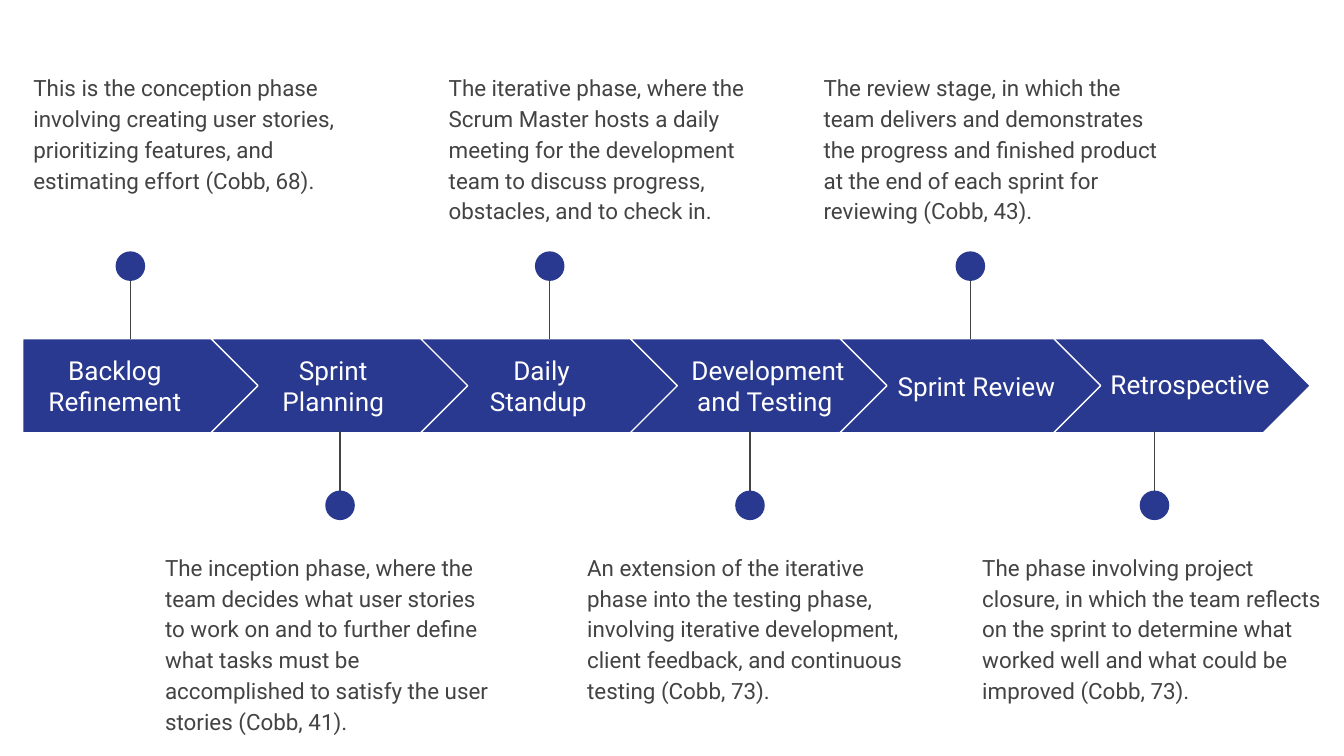
from lxml import etree
from pptx import Presentation
from pptx.dml.color import RGBColor
from pptx.enum.shapes import MSO_CONNECTOR, MSO_SHAPE
from pptx.enum.text import MSO_ANCHOR, PP_ALIGN
from pptx.oxml.ns import qn
from pptx.util import Inches, Pt

PENTAGON, CHEVRON, OVAL = MSO_SHAPE.PENTAGON, MSO_SHAPE.CHEVRON, MSO_SHAPE.OVAL
STRAIGHT = MSO_CONNECTOR.STRAIGHT
LEFT, CENTER = PP_ALIGN.LEFT, PP_ALIGN.CENTER
TOP, MIDDLE = MSO_ANCHOR.TOP, MSO_ANCHOR.MIDDLE

NAVY, WHITE, GRAY = "2A3990", "FFFFFF", "434343"
FONT = "Roboto"
SLIDE_WIDTH = 10
SLIDE_HEIGHT = SLIDE_WIDTH * 9 / 16
BAND_TOP, BAND_HEIGHT = 2.52, 0.7
CHEVRON_STEP, CHEVRON_WIDTH = 1.56, 1.94
DOT = 0.22

# Position in the band, label, (label left, top, width), pin centre,
# (note left, width, height), note. Sprint Review lies over Retrospective.
STAGES = [
    (0, "Backlog Refinement", (0.17, 2.65, 1.37), 0.97, (0.15, 2.45, 0.99),
     "This is the conception phase involving creating user stories, "
     "prioritizing features, and estimating effort (Cobb, 68)."),
    (1, "Sprint Planning", (1.86, 2.65, 1.24), 2.53, (1.13, 2.68, 1.52),
     "The inception phase, where the team decides what user stories to work on "
     "and to further define what tasks must be accomplished to satisfy the user "
     "stories (Cobb, 41)."),
    (2, "Daily Standup ", (3.41, 2.65, 1.24), 4.09, (3.24, 2.45, 1.32),
     "The iterative phase, where the Scrum Master hosts a daily meeting for the "
     "development team to discuss progress, obstacles, and to check in."),
    (3, "Development and Testing ", (4.96, 2.65, 1.51), 5.58, (4.27, 2.62, 1.32),
     "An extension of the iterative phase into the testing phase, involving "
     "iterative development, client feedback, and continuous testing (Cobb, 73)."),
    (5, "Retrospective", (8.13, 2.64, 1.45), 8.59, (7.21, 2.79, 1.32),
     "The phase involving project closure, in which the team reflects on the "
     "sprint to determine what worked well and what could be improved (Cobb, 73)."),
    (4, "Sprint Review", (6.51, 2.65, 1.51), 7.22, (6.03, 2.7, 1.32),
     "The review stage, in which the team delivers and demonstrates the progress "
     "and finished product at the end of each sprint for reviewing (Cobb, 43)."),
]


def rgb(color):
    return RGBColor.from_string(color)


def add_text(slide, text, left, top, width, height, *, size, color,
             align=LEFT, anchor=TOP, line_spacing=None, space_after=0):
    box = slide.shapes.add_textbox(
        Inches(left), Inches(top), Inches(width), Inches(height))
    frame = box.text_frame
    frame.word_wrap = True
    frame.vertical_anchor = anchor
    frame.margin_left = frame.margin_right = Inches(0.1)
    frame.margin_top = frame.margin_bottom = Inches(0.1)
    paragraph = frame.paragraphs[0]
    paragraph.alignment = align
    paragraph.line_spacing = line_spacing
    paragraph.space_after = Pt(space_after)
    run = paragraph.add_run()
    run.text = text
    run.font.name = FONT
    run.font.size = Pt(size)
    run.font.color.rgb = rgb(color)


def add_filled(shapes, kind, left, top, width, height, outline=None):
    shape = shapes.add_shape(
        kind, Inches(left), Inches(top), Inches(width), Inches(height))
    shape.shadow.inherit = False
    shape.fill.solid()
    shape.fill.fore_color.rgb = rgb(NAVY)
    if outline:
        shape.line.color.rgb = rgb(outline)
        shape.line.width = Pt(0.75)
    else:
        shape.line.fill.background()
    return shape


def add_arrow(slide, position):
    if position == 0:
        kind, left, width = PENTAGON, 0.17, 1.77
    else:
        kind, left, width = CHEVRON, 0.01 + position * CHEVRON_STEP, CHEVRON_WIDTH
    arrow = add_filled(slide.shapes, kind, left, BAND_TOP, width, BAND_HEIGHT, WHITE)
    arrow.adjustments[0] = 0.5


def add_pin(slide, center, above):
    start, end, dot_top = (1.91, 2.52, 1.87) if above else (3.82, 3.21, 3.65)
    pin = slide.shapes.add_group_shape()
    stem = pin.shapes.add_connector(
        STRAIGHT, Inches(center), Inches(start), Inches(center), Inches(end))
    stem.line.color.rgb = rgb(GRAY)
    stem.line.width = Pt(0.75)
    etree.SubElement(stem.element.spPr, qn("a:effectLst"))
    add_filled(pin.shapes, OVAL, center - DOT / 2, dot_top, DOT, DOT)


def main():
    prs = Presentation()
    prs.slide_width, prs.slide_height = Inches(SLIDE_WIDTH), Inches(SLIDE_HEIGHT)
    slide = prs.slides.add_slide(prs.slide_layouts[6])

    for position, label, label_box, pin_center, note_box, note in STAGES:
        above = position % 2 == 0
        # Arrow with its label
        add_arrow(slide, position)
        label_left, label_top, label_width = label_box
        add_text(slide, label, label_left, label_top, label_width, 0.44,
                 size=14, color=WHITE, align=CENTER, anchor=MIDDLE)
        # Pin and note, alternating above and below the band
        add_pin(slide, pin_center, above)
        note_left, note_width, note_height = note_box
        add_text(slide, note, note_left, 0.42 if above else 3.99,
                 note_width, note_height,
                 size=12, color=GRAY, line_spacing=1.15, space_after=16)

    prs.save("out.pptx")


if __name__ == "__main__":
    main()
